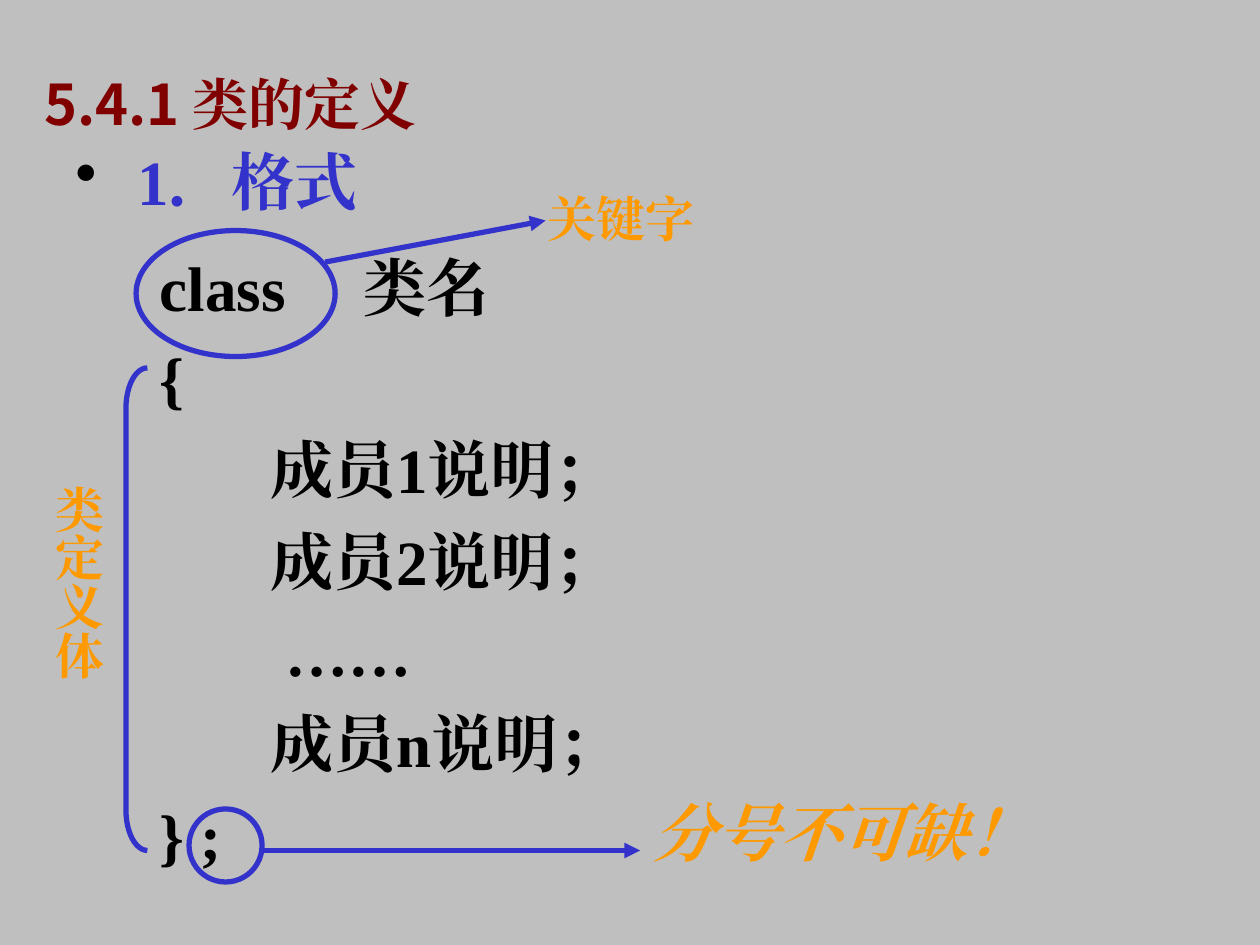
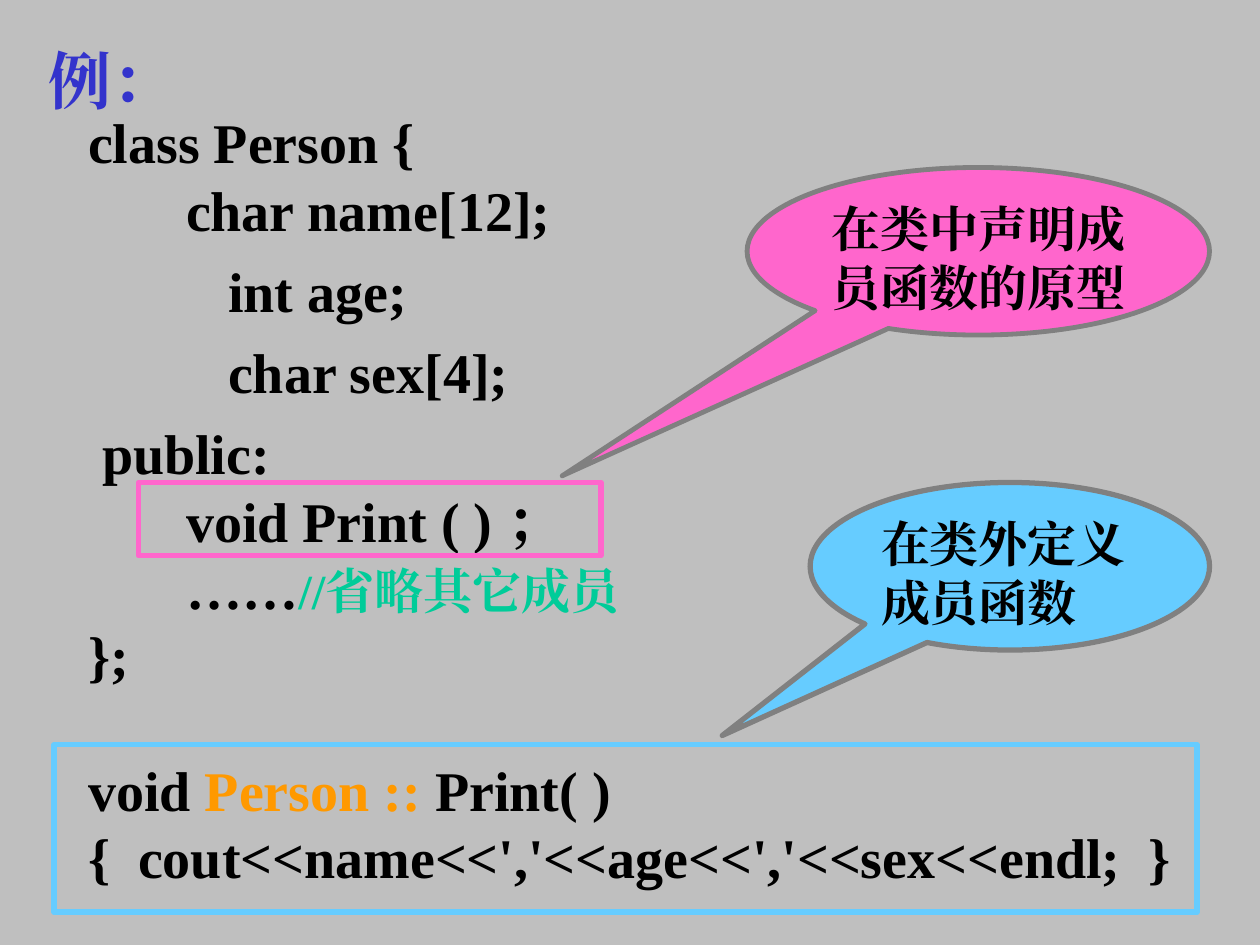
"""Build two slides on how a class is defined."""
from dataclasses import dataclass
from typing import Optional

from lxml.etree import SubElement
from pptx import Presentation
from pptx.dml.color import RGBColor
from pptx.enum.shapes import MSO_CONNECTOR, MSO_SHAPE
from pptx.enum.text import MSO_ANCHOR, MSO_AUTO_SIZE, PP_ALIGN
from pptx.oxml.ns import qn
from pptx.util import Inches, Pt

SERIF, SANS = "Times New Roman", "Noto Sans CJK SC"
BLACK, BLUE, ORANGE, MAROON = "000000", "3333CC", "FF9900", "800000"
GREEN, PINK, SKY, GRAY, BACKGROUND = "00CC99", "FF66CC", "66CCFF", "808080", "BFBFBF"


@dataclass
class Area:
    left: float
    top: float
    width: float
    height: float

    def lengths(self):
        return [Inches(value) for value in (self.left, self.top, self.width, self.height)]


@dataclass
class Span:
    text: str
    color: str = BLACK
    size: Optional[float] = None


@dataclass
class Line:
    spans: list[Span]
    before: float = 0
    spacing: float = 1.0


@dataclass
class Outline:
    kind: MSO_SHAPE
    area: Area
    color: str
    weight: float = 3
    fill: Optional[str] = None
    adjustments: tuple = ()


def rgb(color: str) -> RGBColor:
    return RGBColor.from_string(color)


def prepare_frame(shape, anchor=MSO_ANCHOR.TOP):
    frame = shape.text_frame
    frame.word_wrap = True
    frame.auto_size = MSO_AUTO_SIZE.NONE
    frame.vertical_anchor = anchor
    return frame


def add_span(para, text: str, *, size: float, color: str = BLACK, font: str = SERIF,
             italic: bool = False) -> None:
    span = para.add_run()
    span.text = text
    span.font.name = font
    span.font.size = Pt(size)
    span.font.bold = True
    span.font.italic = italic
    span.font.color.rgb = rgb(color)
    SubElement(span.font._element, qn("a:ea")).set("typeface", SERIF)


def add_label(page, area: Area, text: str, *, spacing: float = 1.0, vertical: bool = False,
              **text_format):
    box = page.shapes.add_textbox(*area.lengths())
    frame = prepare_frame(box)
    if vertical:
        frame.margin_left = frame.margin_right = Inches(0.05)
        frame.margin_top = frame.margin_bottom = Inches(0.1)
        frame._txBody.bodyPr.set("vert", "eaVert")
    para = frame.paragraphs[0]
    para.line_spacing = spacing
    add_span(para, text, **text_format)
    return para


def add_code(page, area: Area, lines: list[Line], size: float):
    frame = prepare_frame(page.shapes.add_textbox(*area.lengths()))
    for index, line in enumerate(lines):
        para = frame.add_paragraph() if index else frame.paragraphs[0]
        para.space_before = Pt(line.before if index else 0)
        para.line_spacing = line.spacing
        for span in line.spans:
            add_span(para, span.text, size=span.size or size, color=span.color)
    return frame


def set_title(page, area: Area, text: str, *, anchor=MSO_ANCHOR.MIDDLE,
              align=PP_ALIGN.LEFT, **text_format) -> None:
    title = page.shapes.title
    title.left, title.top, title.width, title.height = area.lengths()
    para = prepare_frame(title, anchor).paragraphs[0]
    para.alignment = align
    add_span(para, text, **text_format)


def add_outline(page, outline: Outline):
    shape = page.shapes.add_shape(outline.kind, *outline.area.lengths())
    shape.shadow.inherit = False
    for index, value in enumerate(outline.adjustments):
        shape.adjustments[index] = value
    if outline.fill:
        shape.fill.solid()
        shape.fill.fore_color.rgb = rgb(outline.fill)
    else:
        shape.fill.background()
    shape.line.color.rgb = rgb(outline.color)
    shape.line.width = Pt(outline.weight)
    return shape


def add_callout(page, outline: Outline, text: str, align) -> None:
    para = prepare_frame(add_outline(page, outline)).paragraphs[0]
    para.alignment = align
    add_span(para, text, size=28)


def add_arrow(page, start: tuple[float, float], end: tuple[float, float]) -> None:
    points = [Inches(value) for value in (*start, *end)]
    arrow = page.shapes.add_connector(MSO_CONNECTOR.STRAIGHT, *points)
    arrow.line.color.rgb = rgb(BLUE)
    arrow.line.width = Pt(3)
    SubElement(arrow.line._get_or_add_ln(), qn("a:tailEnd")).set("type", "triangle")
    SubElement(arrow._element.spPr, qn("a:effectLst"))


def build_format_page(page) -> None:
    set_title(page, Area(0.25, 0.42, 5.58, 0.79), "5.4.1 类的定义",
              size=32, color=MAROON, font=SANS)
    heading = add_label(page, Area(0.5, 1.08, 4.83, 0.75), "1．格式", size=36, color=BLUE)
    properties = heading._p.get_or_add_pPr()
    properties.set("marL", str(Inches(0.49)))
    properties.set("indent", str(-Inches(0.49)))
    bullet_color = SubElement(properties, qn("a:buClr"))
    SubElement(bullet_color, qn("a:srgbClr")).set("val", BLACK)
    SubElement(properties, qn("a:buChar")).set("char", "•")

    add_label(page, Area(4.25, 1.5, 1.75, 0.52), "关键字", spacing=0.9,
              size=28, color=ORANGE, font=SANS)
    texts = ["class\t类名", "{", "       成员1说明；", "       成员2说明；",
             "        ……", "       成员n说明；", "} ;"]
    code = add_code(page, Area(1.17, 1.92, 4.08, 5.4),
                    [Line([Span(text)], before=9) for text in texts], size=36)
    tabs = SubElement(code.paragraphs[0]._p.get_or_add_pPr(), qn("a:tabLst"))
    tab = SubElement(tabs, qn("a:tab"))
    tab.set("pos", str(Inches(1.62)))
    tab.set("algn", "l")

    add_outline(page, Outline(MSO_SHAPE.OVAL, Area(1.08, 1.83, 1.58, 1), BLUE))
    add_arrow(page, (2.58, 2.08), (4.33, 1.75))
    add_outline(page, Outline(MSO_SHAPE.LEFT_BRACKET, Area(1, 2.92, 0.17, 3.83), BLUE,
                              adjustments=(1.88,)))
    add_label(page, Area(0.25, 3.75, 0.66, 1.83), "类定义体", vertical=True,
              size=28, color=ORANGE, font=SANS)
    add_arrow(page, (2.08, 6.75), (5.08, 6.75))
    add_label(page, Area(5.08, 6.25, 3.46, 0.7), "分号不可缺！",
              size=36, color=ORANGE, font=SANS, italic=True)
    add_outline(page, Outline(MSO_SHAPE.OVAL, Area(1.5, 6.42, 0.58, 0.58), BLUE))


def build_example_page(page) -> None:
    tight = 0.8
    lines = [
        Line([Span("class Person {")], spacing=tight),
        Line([Span("       char name[12];")], 8, tight),
        Line([Span("          int age;")], 8),
        Line([Span("          char sex[4];")], 8),
        Line([Span(" public:")], 8),
        Line([Span("       void Print ( ) ；")], 8, tight),
        Line([Span("       ……"), Span("//省略其它成员", GREEN, 28)], 7, tight),
        Line([Span("};")], 8, tight),
        Line([Span("void "), Span("Person ::", ORANGE), Span(" Print( )")], 46, tight),
        Line([Span("{  cout<<name<<','<<age<<','<<sex<<endl;  }")], 8, tight),
    ]
    add_code(page, Area(0.6, 0.91, 9.15, 6.21), lines, size=32)
    set_title(page, Area(0.08, 0.28, 1.61, 0.7), "例：", anchor=MSO_ANCHOR.TOP,
              align=PP_ALIGN.CENTER, size=36, color=BLUE)
    add_outline(page, Outline(MSO_SHAPE.RECTANGLE, Area(1.1, 3.83, 3.67, 0.58), PINK, 3.25))
    add_callout(page, Outline(MSO_SHAPE.OVAL_CALLOUT, Area(5.93, 1.33, 3.67, 1.33), GRAY,
                              2.75, PINK, (-0.9, 1.34)),
                "在类中声明成员函数的原型", PP_ALIGN.CENTER)
    add_callout(page, Outline(MSO_SHAPE.OVAL_CALLOUT, Area(6.43, 3.83, 3.17, 1.33), GRAY,
                              3, SKY, (-0.72, 1.01)),
                "在类外定义成员函数", PP_ALIGN.LEFT)
    add_outline(page, Outline(MSO_SHAPE.RECTANGLE, Area(0.43, 5.91, 9.07, 1.33), SKY, 3.25))


def main() -> None:
    deck = Presentation()
    deck.slide_width, deck.slide_height = Inches(10), Inches(7.5)
    backdrop = deck.slide_master.background.fill
    backdrop.solid()
    backdrop.fore_color.rgb = rgb(BACKGROUND)
    title_only = deck.slide_layouts.get_by_name("Title Only")
    for build_page in (build_format_page, build_example_page):
        build_page(deck.slides.add_slide(title_only))
    deck.save("out.pptx")


if __name__ == "__main__":
    main()
